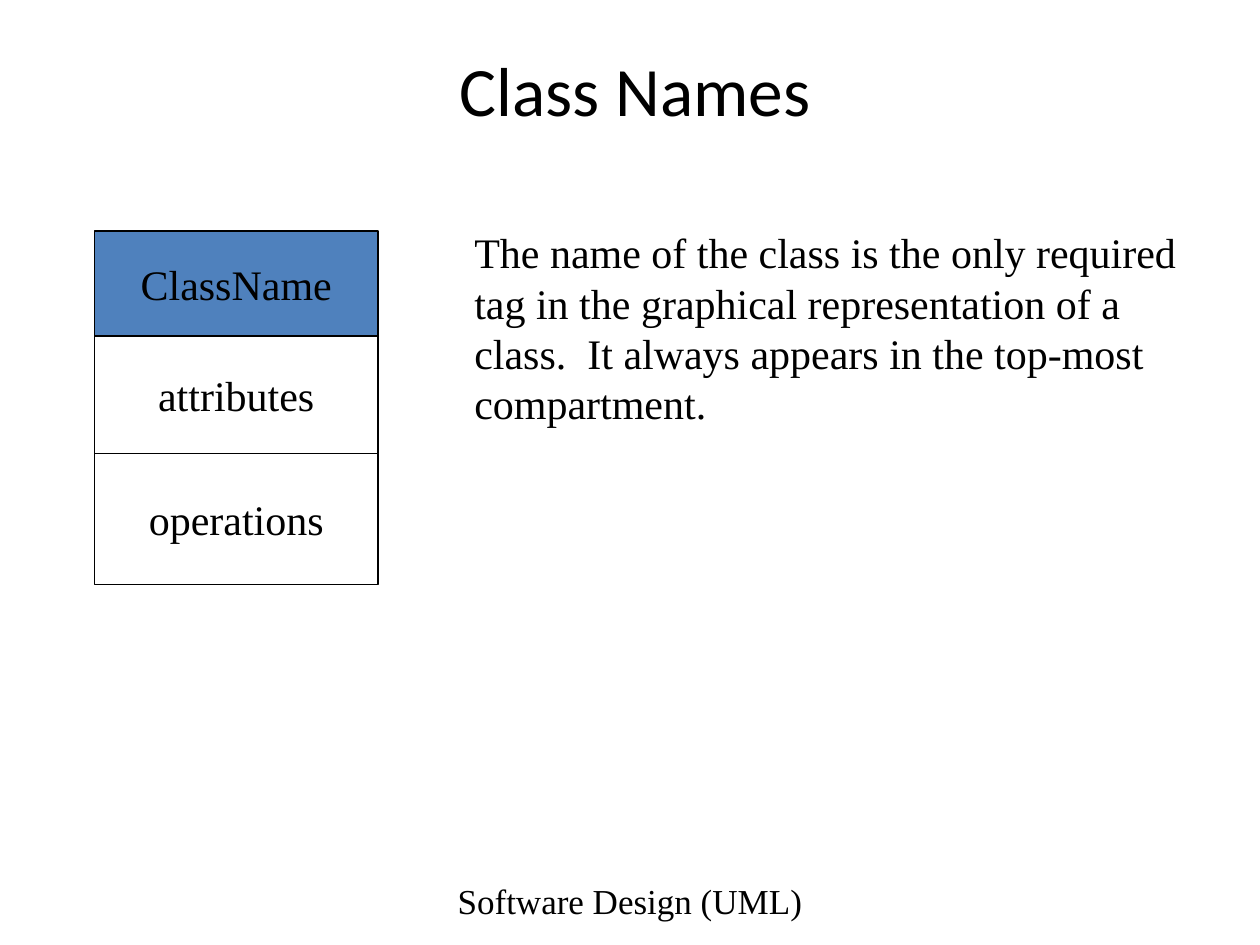
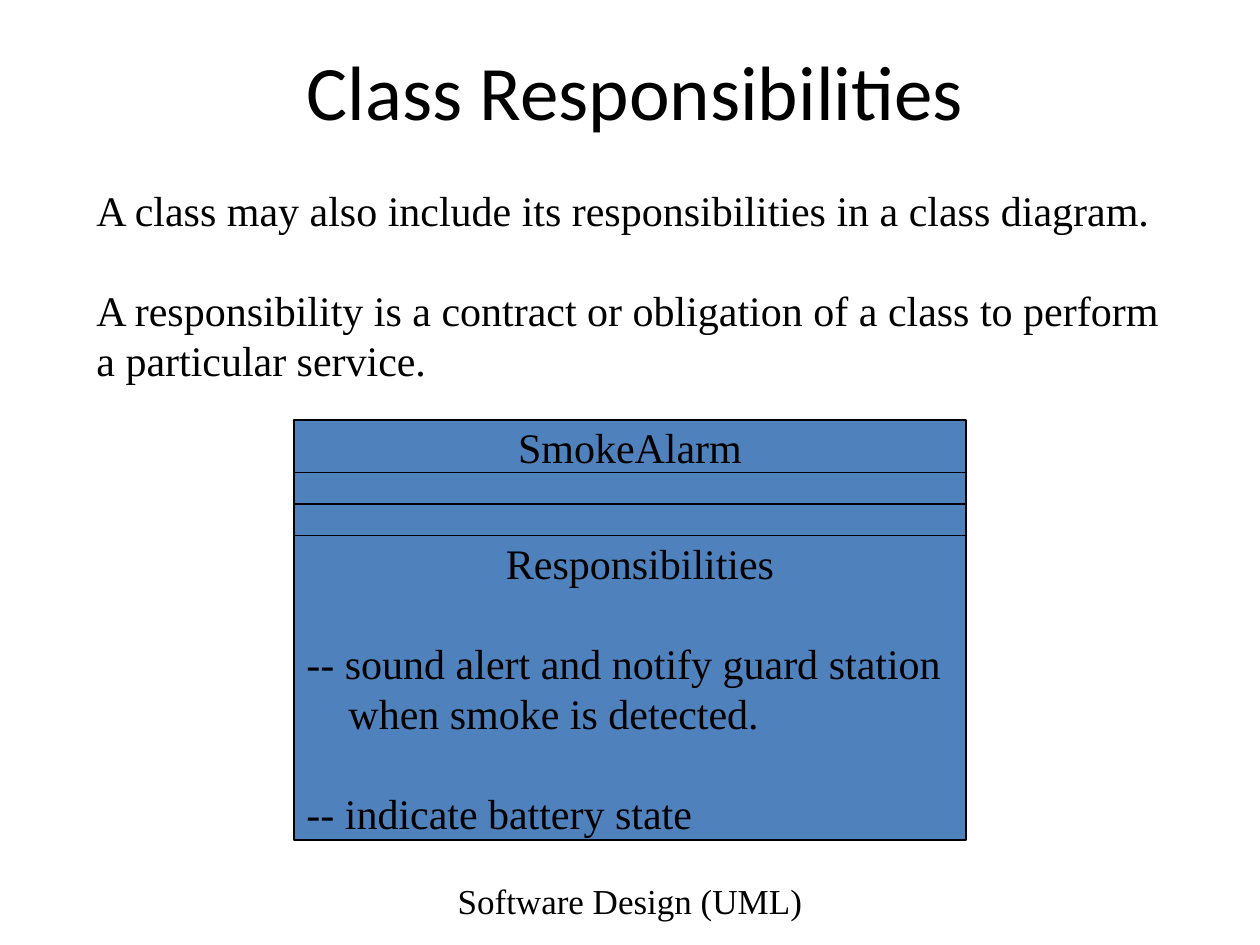
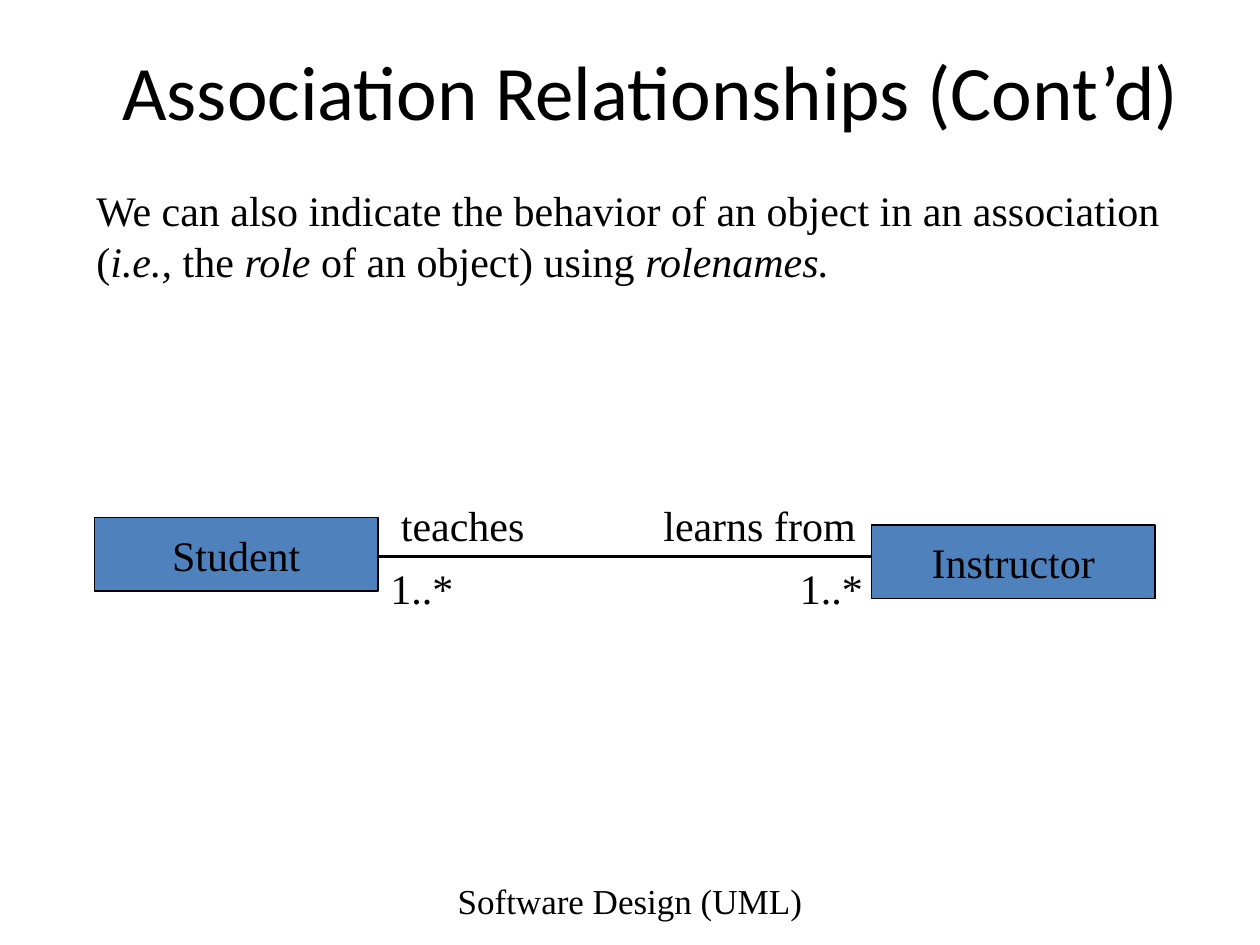
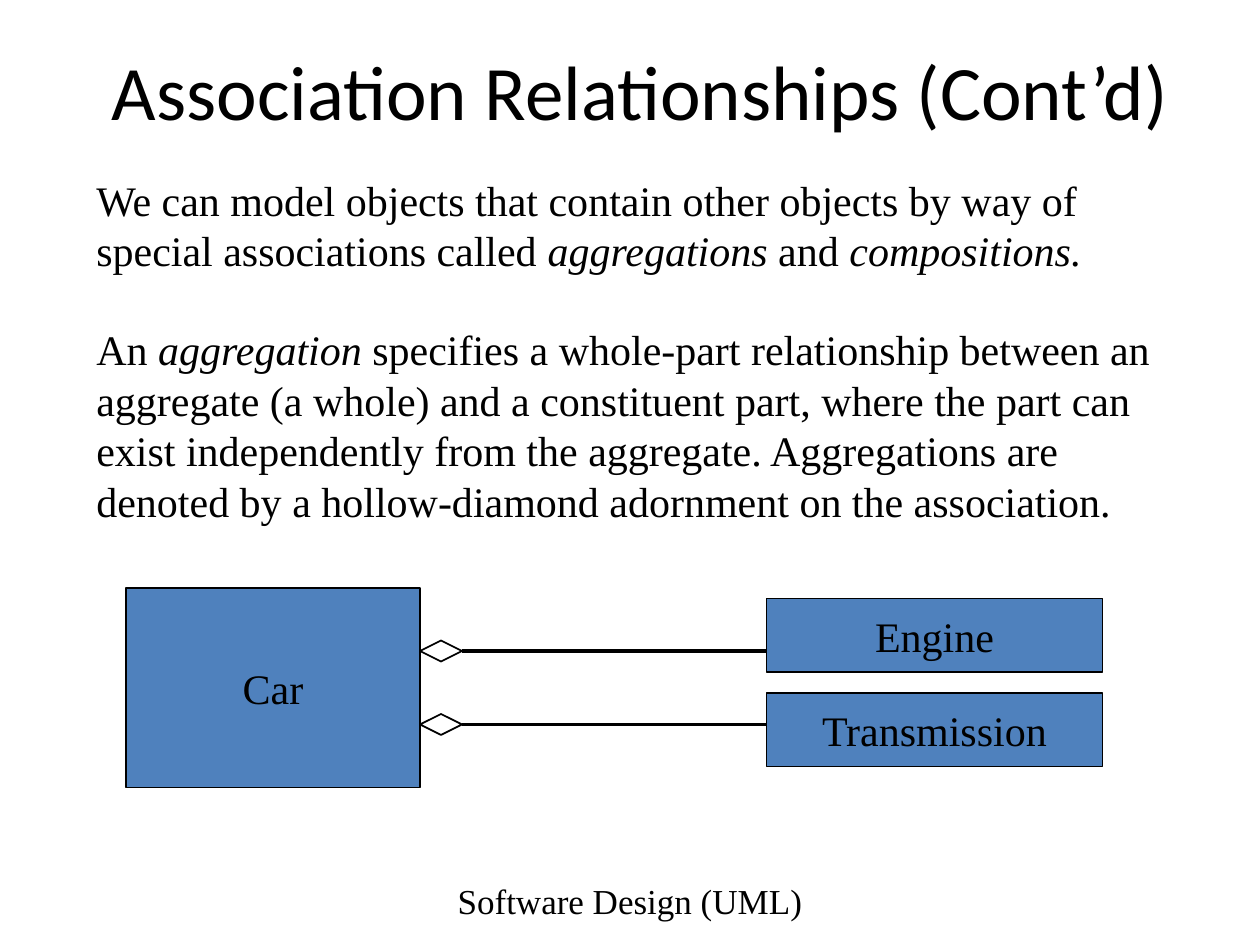
"""Build four slides on UML classes and their associations."""
from dataclasses import dataclass

from lxml import etree
from pptx import Presentation
from pptx.dml.color import RGBColor
from pptx.enum.shapes import MSO_CONNECTOR, MSO_SHAPE
from pptx.enum.text import MSO_ANCHOR, MSO_AUTO_SIZE, PP_ALIGN
from pptx.oxml.ns import qn
from pptx.util import Pt

PX = 7620
TITLE_ONLY = 5
LEFT, CENTER = PP_ALIGN.LEFT, PP_ALIGN.CENTER
MIDDLE = MSO_ANCHOR.MIDDLE
GROW, FIXED = MSO_AUTO_SIZE.SHAPE_TO_FIT_TEXT, MSO_AUTO_SIZE.NONE
RECTANGLE = MSO_SHAPE.RECTANGLE
STRAIGHT = MSO_CONNECTOR.STRAIGHT


@dataclass(frozen=True)
class Theme:
    ink: RGBColor = RGBColor(0x00, 0x00, 0x00)
    paper: RGBColor = RGBColor(0xFF, 0xFF, 0xFF)
    accent: RGBColor = RGBColor(0x4F, 0x81, 0xBD)
    title_font: str = "Calibri"
    body_font: str = "Times New Roman"
    title_size: float = 44
    body_size: float = 24
    footer_size: float = 20
    paragraph_gap: float = 28
    border: float = 0.75
    diamond_border: float = 1
    association: float = 2.25


THEME = Theme()
GAP = THEME.paragraph_gap
DIAMOND_WIDTH, DIAMOND_HEIGHT = 40, 20
FOOTER = ("Software Design (UML)", (410, 834, 380, 48))

# Text between underscores is italic; class compartments are (height, fill, lines).
SLIDES = [
    {
        "title": ("Class Names", 90, 1030, 39.6),
        "body": ((440, 210, 720, 204), [
            "The name of the class is the only required tag in the graphical "
            "representation of a class.  It always appears in the top-most compartment.",
        ]),
        "classes": [((90, 220, 270), [
            (100, THEME.accent, "ClassName"),
            (112, THEME.paper, "attributes"),
            (125, THEME.paper, "operations"),
        ])],
    },
    {
        "title": ("Class Responsibilities", 90, 1030, THEME.title_size),
        "body": ((80, 170, 1050, 204), [
            "A class may also include its responsibilities in a class diagram.",
            "A responsibility is a contract or obligation of a class to perform "
            "a particular service.",
        ]),
        "classes": [((280, 400, 640), [
            (50, THEME.accent, "SmokeAlarm"),
            (30, THEME.accent, ""),
            (30, THEME.accent, ""),
            (290, THEME.accent, [
                ("Responsibilities", 190, 0),
                ("-- sound alert and notify guard station", 0, GAP),
                ("when smoke is detected.", 40, 0),
                ("-- indicate battery state", 0, GAP),
            ]),
        ])],
    },
    {
        "title": ("Association Relationships (Cont’d)", 80, 1080, THEME.title_size),
        "body": ((80, 170, 1064, 108), [
            "We can also indicate the behavior of an object in an association "
            "(_i.e.,_ the _role _of an object) using _rolenames._",
        ]),
        "associations": [(360, 840, 530)],
        "classes": [
            ((830, 500, 270), [(70, THEME.accent, "Instructor")]),
            ((90, 493, 270), [(70, THEME.accent, "Student")]),
        ],
        "labels": [
            ("1..*", (750, 530, 90, 60)),
            ("1..*", (360, 530, 90, 60)),
            ("learns from", (620, 470, 210, 60)),
            ("teaches", (370, 470, 150, 60)),
        ],
    },
    {
        "title": ("Association Relationships (Cont’d)", 80, 1060, THEME.title_size),
        "body": ((80, 160, 1030, 348), [
            "We can model objects that contain other objects by way of special "
            "associations called _aggregations_ and _compositions._",
            "An _aggregation_ specifies a whole-part relationship between an aggregate "
            "(a whole) and a constituent part, where the part can exist independently "
            "from the aggregate. Aggregations are denoted by a hollow-diamond "
            "adornment on the association.",
        ]),
        "classes": [
            ((120, 560, 280), [(190, THEME.accent, "Car")]),
            ((730, 570, 320), [(70, THEME.accent, "Engine")]),
            ((730, 660, 320), [(70, THEME.accent, "Transmission")]),
        ],
        "aggregations": [(400, 730, 620), (400, 730, 690)],
    },
]


def emu(*lengths):
    return [length * PX for length in lengths]


def write(frame, text, font=THEME.body_font, size=THEME.body_size,
          align=LEFT, indent=0, gap=0):
    first = frame.paragraphs[0]
    para = frame.add_paragraph() if first.runs else first
    para.alignment = align
    para.space_before = Pt(gap)
    if indent:
        para._p.get_or_add_pPr().set("marL", str(indent * PX))
    for index, part in enumerate(text.split("_")):
        if part:
            span = para.add_run()
            span.text = part
            span.font.name = font
            span.font.size = Pt(size)
            span.font.color.rgb = THEME.ink
            span.font.italic = index % 2 == 1


def add_text(page, place, lines, resize=GROW, anchor=None, **style):
    frame = page.shapes.add_textbox(*emu(*place)).text_frame
    frame.word_wrap = True
    frame.auto_size = resize
    frame.vertical_anchor = anchor
    for number, line in enumerate(lines):
        write(frame, line, gap=GAP if number else 0, **style)


def add_title(page, text, left, width, size):
    title = page.shapes.title
    title.left, title.top, title.width, title.height = emu(left, 50, width, 70)
    frame = title.text_frame
    frame.auto_size = FIXED
    frame.vertical_anchor = MIDDLE
    write(frame, text, font=THEME.title_font, size=size, align=CENTER)


def paint(shape, fill, border):
    shape.shadow.inherit = False
    shape.fill.solid()
    shape.fill.fore_color.rgb = fill
    shape.line.color.rgb = THEME.ink
    shape.line.width = Pt(border)


def add_class(shapes, place, compartments):
    left, top, width = place
    for height, fill, content in compartments:
        box = shapes.add_shape(RECTANGLE, *emu(left, top, width, height))
        paint(box, fill, THEME.border)
        frame = box.text_frame
        frame.vertical_anchor = MIDDLE
        frame.word_wrap = isinstance(content, list)
        if frame.word_wrap:
            for text, indent, gap in content:
                write(frame, text, indent=indent, gap=gap)
        else:
            write(frame, content, align=CENTER)
        top += height


def add_association(shapes, start, end, height):
    line = shapes.add_connector(STRAIGHT, *emu(start, height, end, height))
    line.line.color.rgb = THEME.ink
    line.line.width = Pt(THEME.association)
    etree.SubElement(line._element.spPr, qn("a:effectLst"))


def add_aggregation(shapes, start, end, height):
    middle, tip = start + DIAMOND_WIDTH // 2, start + DIAMOND_WIDTH
    rise = DIAMOND_HEIGHT // 2
    add_association(shapes, tip, end, height)
    outline = shapes.build_freeform(start, height, scale=PX)
    outline.add_line_segments(
        [(middle, height - rise), (tip, height), (middle, height + rise)], close=True)
    paint(outline.convert_to_shape(), THEME.paper, THEME.diamond_border)


def add_slide(deck, content):
    page = deck.slides.add_slide(deck.slide_layouts[TITLE_ONLY])
    footer, footer_place = FOOTER
    add_text(page, footer_place, [footer], resize=FIXED, anchor=MIDDLE,
             size=THEME.footer_size, align=CENTER)
    add_title(page, *content["title"])
    add_text(page, *content["body"])
    diagram = page.shapes.add_group_shape().shapes
    for association in content.get("associations", []):
        add_association(diagram, *association)
    for place, compartments in content["classes"]:
        add_class(diagram, place, compartments)
    for aggregation in content.get("aggregations", []):
        add_aggregation(diagram, *aggregation)
    for label, place in content.get("labels", []):
        add_text(page, place, [label])


def main():
    deck = Presentation()
    deck.slide_width, deck.slide_height = emu(1200, 900)
    for content in SLIDES:
        add_slide(deck, content)
    deck.save("out.pptx")


if __name__ == "__main__":
    main()
